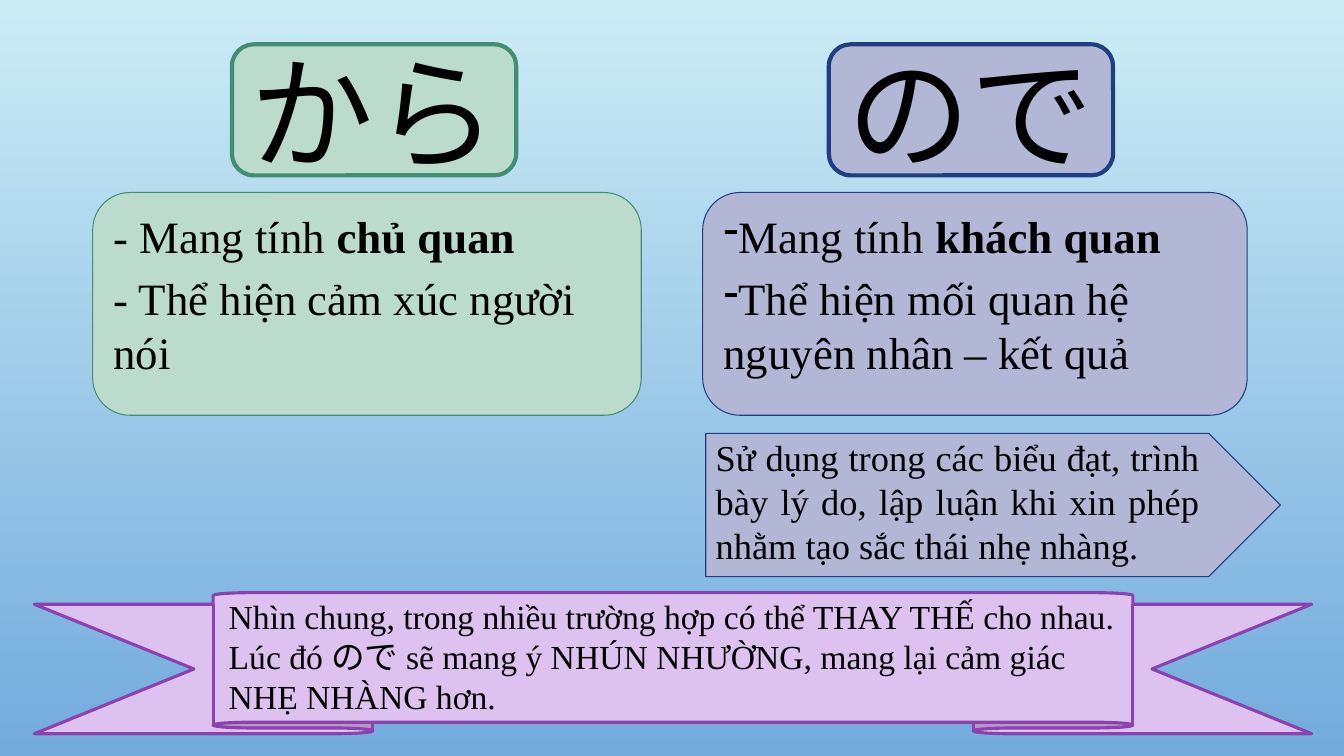
from lxml.etree import SubElement
from pptx import Presentation
from pptx.dml.color import RGBColor
from pptx.enum.shapes import MSO_SHAPE as Shape
from pptx.enum.text import MSO_ANCHOR as Anchor, MSO_AUTO_SIZE as AutoSize, PP_ALIGN as Align
from pptx.oxml.ns import qn
from pptx.util import Emu, Pt

PX = 9144  # 100 px to the inch
LATIN, JAPANESE = "Times New Roman", "Noto Sans CJK JP"
GREEN = ("BBDBCD", "428E73")
BLUE = ("B1B7D4", "1F3F83")
PURPLE = ("DDC1EF", "8B42AE")


def px(*lengths):
    return [Emu(length * PX) for length in lengths]


def color(hex_value):
    return RGBColor.from_string(hex_value)


def paint_background(page, top, bottom):
    fill = page.background.fill
    fill.gradient()
    fill.gradient_angle = 270
    for stop, position, hex_value in zip(fill.gradient_stops, (0, 1), (top, bottom)):
        stop.position = position
        stop.color.rgb = color(hex_value)


def add_panel(shapes, kind, place, colors, line_width, adjustments=()):
    panel = shapes.add_shape(kind, *px(*place))
    panel.shadow.inherit = False
    panel.fill.solid()
    panel.fill.fore_color.rgb = color(colors[0])
    panel.line.color.rgb = color(colors[1])
    panel.line.width = Pt(line_width)
    for index, value in enumerate(adjustments):
        panel.adjustments[index] = value
    return panel


def add_span(para, text, size, font=LATIN, bold=False):
    span = para.add_run()
    span.text = text
    span.font.size = Pt(size)
    span.font.bold = bold
    span.font.name = font
    span.font.color.rgb = color("000000")
    if font == JAPANESE:
        SubElement(span.font._element, qn("a:ea"), typeface=font)


def add_dash(para):
    """Give the paragraph a dash bullet on a hanging first line."""
    props = para._p.get_or_add_pPr()
    props.set("marL", "0")
    props.set("indent", str(-31 * PX))
    SubElement(props, qn("a:buFontTx"))
    SubElement(props, qn("a:buChar"), char="-")


def add_heading(page, left, text, colors):
    box = add_panel(page.shapes, Shape.ROUNDED_RECTANGLE, (left, 44, 282, 130), colors, 3)
    box.text_frame.vertical_anchor = Anchor.MIDDLE
    para = box.text_frame.paragraphs[0]
    para.alignment = Align.CENTER
    add_span(para, text, 88, JAPANESE)


def add_points(page, left, width, points, colors, dashes=False):
    """Add a rounded box of points, each a list of (text, bold) pairs."""
    box = add_panel(page.shapes, Shape.ROUNDED_RECTANGLE, (left, 191, width, 221), colors, 0.75)
    frame = box.text_frame
    frame.vertical_anchor = Anchor.TOP
    for index, point in enumerate(points):
        para = frame.add_paragraph() if index else frame.paragraphs[0]
        para.alignment = Align.LEFT
        para.space_before = Pt(6)
        if dashes:
            add_dash(para)
        for text, bold in point:
            add_span(para, text, 32, bold=bold)


def add_caption(shapes, place, spans, size, align):
    """Add a text box of (text, font) pairs."""
    box = shapes.add_textbox(*px(*place))
    box.text_frame.word_wrap = True
    box.text_frame.auto_size = AutoSize.SHAPE_TO_FIT_TEXT
    para = box.text_frame.paragraphs[0]
    para.alignment = align
    for text, font in spans:
        add_span(para, text, size, font)


def main():
    deck = Presentation()
    deck.slide_width, deck.slide_height = px(1333, 750)
    page = deck.slides.add_slide(deck.slide_layouts[6])
    paint_background(page, "CBECF5", "73ABDD")

    add_heading(page, 230, "から", GREEN)
    add_heading(page, 822, "ので", BLUE)
    add_points(page, 92, 544, [
        [("- Mang tính ", False), ("chủ quan", True)],
        [("- Thể hiện cảm xúc người nói", False)],
    ], GREEN)
    add_points(page, 697, 540, [
        [("Mang tính ", False), ("khách quan", True)],
        [("Thể hiện mối quan hệ nguyên nhân – kết quả", False)],
    ], BLUE, dashes=True)

    usage = page.shapes.add_group_shape().shapes
    add_panel(usage, Shape.PENTAGON, (700, 430, 570, 142), BLUE, 0.75)
    add_caption(usage, (700, 427, 500, 111), [
        ("Sử dụng trong các biểu đạt, trình bày lý do, lập luận khi xin phép "
         "nhằm tạo sắc thái nhẹ nhàng.", LATIN),
    ], 26, Align.JUSTIFY)

    summary = page.shapes.add_group_shape().shapes
    add_panel(summary, Shape.UP_RIBBON, (34, 588, 1267, 140), PURPLE, 2.25, (0.082, 0.72))
    add_caption(summary, (217, 586, 902, 131), [
        ("Nhìn chung, trong nhiều trường hợp có thể THAY THẾ cho nhau. Lúc đó ", LATIN),
        ("ので", JAPANESE),
        (" sẽ mang ý NHÚN NHƯỜNG, mang lại cảm giác NHẸ NHÀNG hơn.", LATIN),
    ], 24, Align.LEFT)

    deck.save("out.pptx")


if __name__ == "__main__":
    main()
